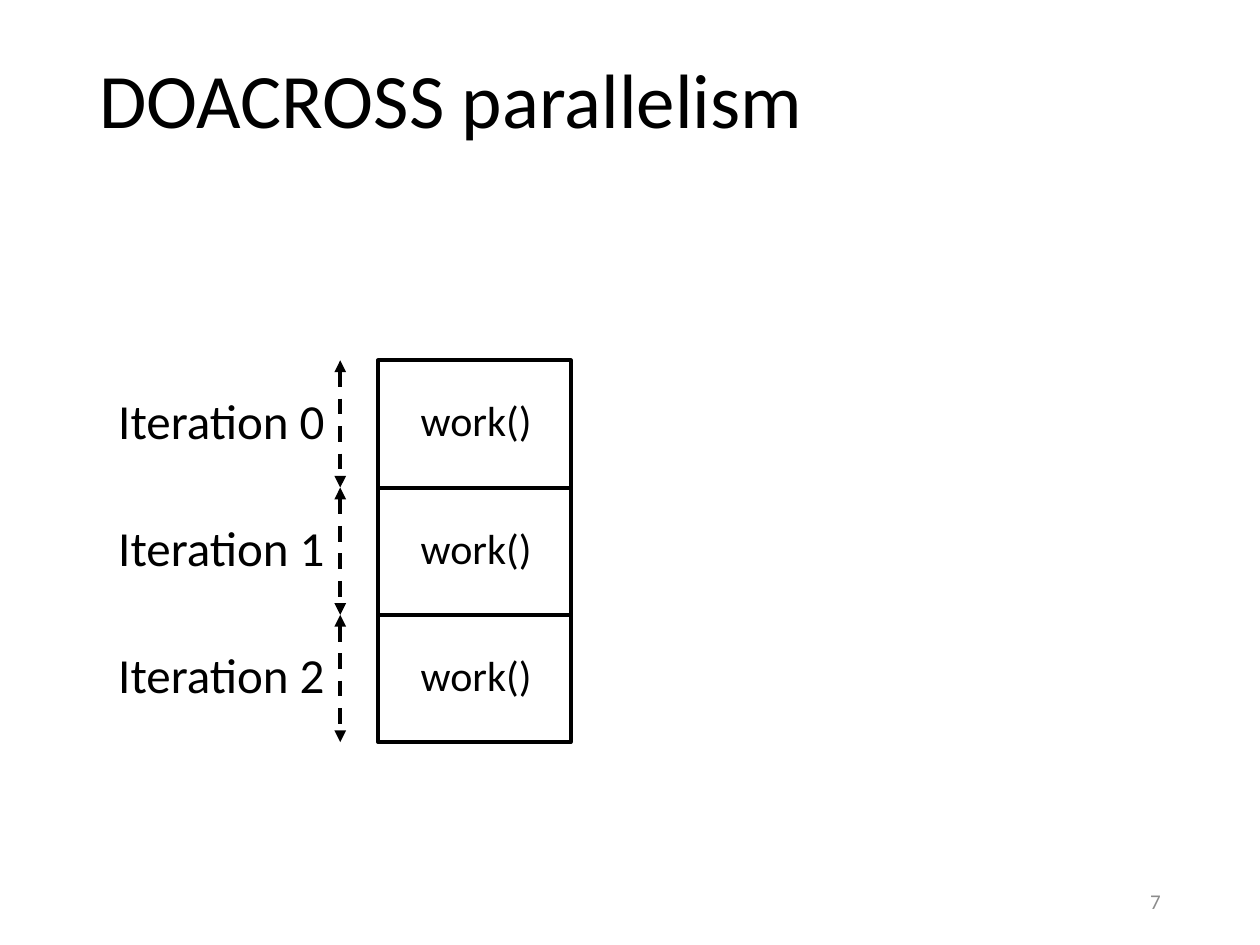
import pptx
import pptx.util
import pptx.dml.color
import pptx.enum.dml
import pptx.enum.shapes
import pptx.enum.text
import pptx.oxml.ns
from lxml import etree

Inches = pptx.util.Inches
Pt = pptx.util.Pt
ANCHOR = pptx.enum.text.MSO_ANCHOR
ALIGN = pptx.enum.text.PP_ALIGN
BLACK = pptx.dml.color.RGBColor(0x00, 0x00, 0x00)
GRAY = pptx.dml.color.RGBColor(0x8C, 0x8C, 0x8C)
FONT = "Calibri"

TITLE = "DOACROSS parallelism"
SLIDE_NUMBER = "7"
ITERATIONS = [
    ("Iteration 0", "work()"),
    ("Iteration 1", "work()"),
    ("Iteration 2", "work()"),
]

GRID_TOP, ROW_HEIGHT = 2.86, 1.01
LABEL_LEFT, LABEL_WIDTH, LABEL_HEIGHT = 0.84, 1.86, 0.57
ARROW_X = 2.7
BOX_LEFT, BOX_WIDTH = 3, 1.53
WORK_WIDTH, WORK_HEIGHT = 1.09, 0.5
LINE_WIDTH = 2.25


def add_text(shapes, text, left, top, width, height, size, color=BLACK,
             align=ALIGN.LEFT, anchor=ANCHOR.TOP, wrap=False):
    box = shapes.add_textbox(Inches(left), Inches(top), Inches(width), Inches(height))
    frame = box.text_frame
    frame.word_wrap = wrap
    frame.vertical_anchor = anchor
    paragraph = frame.paragraphs[0]
    paragraph.text = text
    paragraph.alignment = align
    paragraph.font.name = FONT
    paragraph.font.size = Pt(size)
    paragraph.font.color.rgb = color
    return paragraph


def add_work_box(slide, text, top):
    shapes = slide.shapes.add_group_shape().shapes
    box = shapes.add_shape(pptx.enum.shapes.MSO_SHAPE.RECTANGLE, Inches(BOX_LEFT),
                           Inches(top), Inches(BOX_WIDTH), Inches(ROW_HEIGHT))
    box.shadow.inherit = False
    box.fill.background()
    box.line.color.rgb = BLACK
    box.line.width = Pt(LINE_WIDTH)
    add_text(shapes, text, BOX_LEFT + (BOX_WIDTH - WORK_WIDTH) / 2 + 0.02,
             top + (ROW_HEIGHT - WORK_HEIGHT) / 2 - 0.03, WORK_WIDTH, WORK_HEIGHT, 24)


def add_span_arrow(slide, top):
    arrow = slide.shapes.add_connector(
        pptx.enum.shapes.MSO_CONNECTOR.STRAIGHT, Inches(ARROW_X), Inches(top),
        Inches(ARROW_X), Inches(top + ROW_HEIGHT))
    arrow.line.color.rgb = BLACK
    arrow.line.width = Pt(LINE_WIDTH)
    arrow.line.dash_style = pptx.enum.dml.MSO_LINE.DASH
    qualify = pptx.oxml.ns.qn
    properties = arrow._element.spPr
    outline = properties.find(qualify("a:ln"))
    for end in ("a:headEnd", "a:tailEnd"):
        etree.SubElement(outline, qualify(end), type="triangle")
    etree.SubElement(properties, qualify("a:effectLst"))


def main():
    presentation = pptx.Presentation()
    presentation.slide_width = Inches(10)
    presentation.slide_height = Inches(7.5)
    slide = presentation.slides.add_slide(presentation.slide_layouts[6])

    title = add_text(slide.shapes, TITLE, 0.69, 0.1, 8.62, 1.45, 44,
                     anchor=ANCHOR.MIDDLE, wrap=True)
    title.line_spacing = 0.9
    add_text(slide.shapes, SLIDE_NUMBER, 7.06, 6.95, 2.25, 0.4, 12, GRAY,
             ALIGN.RIGHT, ANCHOR.MIDDLE, True)

    for row, (label, work) in enumerate(ITERATIONS):
        top = GRID_TOP + row * ROW_HEIGHT
        add_work_box(slide, work, top)
        add_span_arrow(slide, top)
        add_text(slide.shapes, label, LABEL_LEFT,
                 top + (ROW_HEIGHT - LABEL_HEIGHT) / 2 - 0.03,
                 LABEL_WIDTH, LABEL_HEIGHT, 28)

    presentation.save("out.pptx")


if __name__ == "__main__":
    main()
